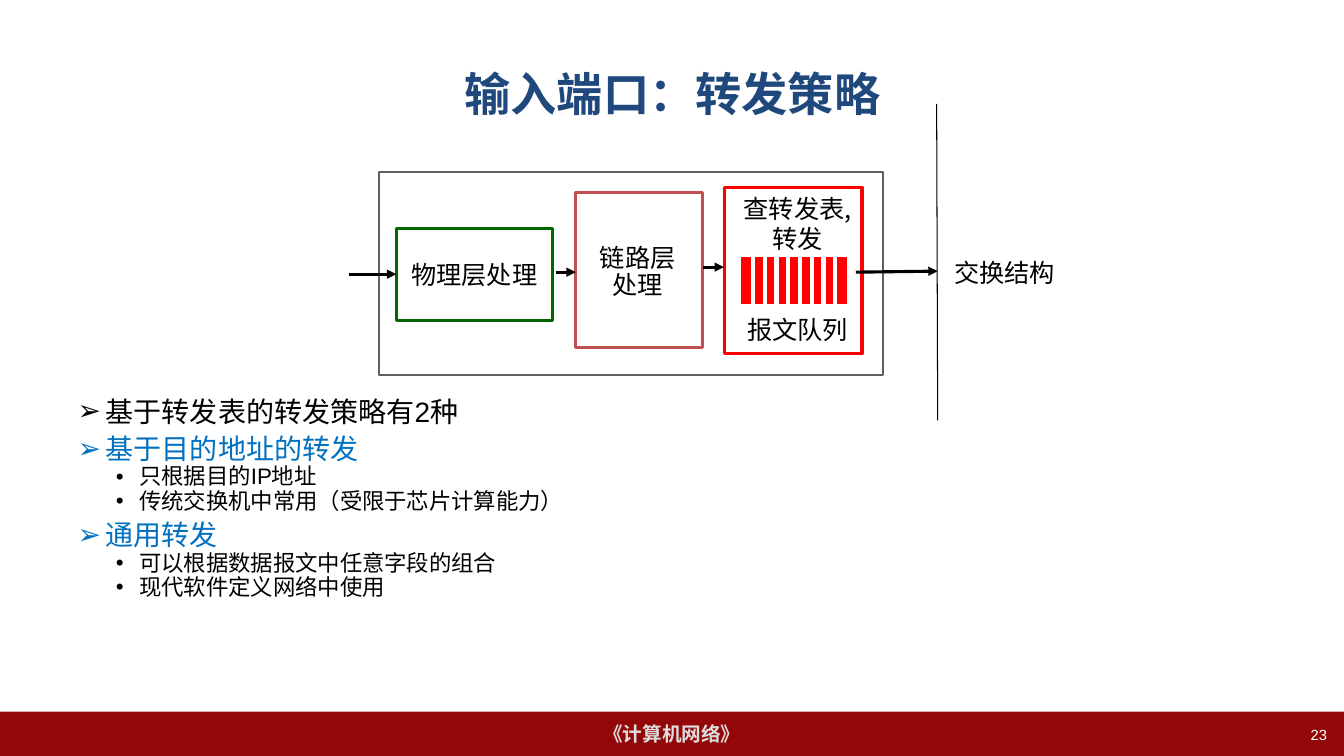
from lxml.etree import SubElement as Sub
from pptx import Presentation as Deck
from pptx.dml.color import RGBColor as RGB
from pptx.enum.shapes import MSO_CONNECTOR as Conn, MSO_SHAPE as Form
from pptx.enum.text import MSO_ANCHOR as Anchor, MSO_AUTO_SIZE as Auto, PP_ALIGN as Align
from pptx.oxml.ns import qn
from pptx.util import Inches, Pt

COLS, ROWS = 1333, 750
WIDE, HIGH = Inches(13.33), Inches(7.5)
LATIN, HAN = "Arial", "Noto Sans CJK SC"
WHITE, BLACK = RGB(255, 255, 255), RGB(0, 0, 0)
RED, ROSE, GREEN = RGB(255, 0, 0), RGB(0xC0, 0x50, 0x4D), RGB(0, 0x66, 0)
GREY, PALE = RGB(0x5F, 0x5F, 0x5F), RGB(0xDD, 0xDD, 0xDD)
MAROON, NAVY, BLUE = RGB(0x94, 7, 9), RGB(0x1F, 0x49, 0x7D), RGB(0, 0x70, 0xC0)

TITLE = "输入端口：转发策略"
LIST = [
    (0, "基于转发表的转发策略有2种", BLACK),
    (0, "基于目的地址的转发", BLUE),
    (1, "只根据目的IP地址", BLACK),
    (1, "传统交换机中常用（受限于芯片计算能力）", BLACK),
    (0, "通用转发", BLUE),
    (1, "可以根据数据报文中任意字段的组合", BLACK),
    (1, "现代软件定义网络中使用", BLACK),
]
LEVELS = [
    {"mark": "➢", "left": 0.28, "hang": 0.28, "size": 20, "gap": 5.5},
    {"mark": "•", "left": 0.61, "hang": 0.23, "size": 16, "gap": 0},
]
BAR = ((0, 706, 1333, 44), MAROON, None, 0, ["《计算机网络》"])
BOXES = [
    ((376, 171, 500, 201), WHITE, GREY, 1.5, []),
    ((393, 227, 155, 91), WHITE, GREEN, 2.25, ["物理层处理"]),
    ((571, 191, 126, 154), WHITE, ROSE, 2.25, []),
    ((719, 186, 136, 165), WHITE, RED, 2.25, []),
    ((575, 225, 115, 91), WHITE, None, 0, ["链路层", "处理"]),
    ((939, 227, 115, 91), WHITE, None, 0, ["交换结构"]),
]
NOTES = [
    ((727, 187, 128, 66), ["查转发表,", "转发"]),
    ((727, 307, 128, 40), ["报文队列"]),
]
ARROWS = [(346, 272, 393, 272), (551, 270, 571, 270),
          (697, 265, 718, 265), (849, 270, 930, 269)]
FABRIC = (929, 103, 930, 417)
QUEUE, SLOTS = (733, 253, 109, 51), 9


def put(item, **vals):
    for key, val in vals.items():
        setattr(item, key, val)


def at(cells):
    return [round(c * (HIGH / ROWS if n % 2 else WIDE / COLS)) for n, c in enumerate(cells)]


def place(shape, cells):
    put(shape, **dict(zip(("left", "top", "width", "height"), at(cells))))


def style(para, size, color, bold=False, face=LATIN):
    for run in para.runs:
        put(run.font, size=Pt(size), bold=bold, name=face)
        run.font.color.rgb = color
        Sub(run.font._element, qn("a:ea")).set("typeface", HAN)


def write(shape, lines, size=18, color=BLACK, bold=False, face=HAN,
          align=Align.CENTER, anchor=Anchor.MIDDLE, pitch=1.0):
    frame = shape.text_frame
    put(frame, text="\n".join(lines), word_wrap=False, vertical_anchor=anchor,
        auto_size=Auto.NONE)
    for para in frame.paragraphs:
        put(para, alignment=align, line_spacing=pitch)
        style(para, size, color, bold, face)


def box(home, cells, fill, edge, weight):
    shape = home.add_shape(Form.RECTANGLE, *at(cells))
    shape.shadow.inherit = False
    shape.fill.solid()
    shape.fill.fore_color.rgb = fill
    if edge is None:
        shape.line.fill.background()
    else:
        shape.line.color.rgb = edge
        shape.line.width = Pt(weight)
    return shape


def rule(home, ends, color, weight, arrow=False):
    line = home.add_connector(Conn.STRAIGHT, *at(ends))
    line.line.color.rgb = color
    line.line.width = Pt(weight)
    if arrow:
        Sub(line.line._get_or_add_ln(), qn("a:tailEnd")).set("type", "triangle")
    Sub(line._element.spPr, qn("a:effectLst"))


def bullets(frame):
    frame.text = "\n".join(text for _, text, _ in LIST)
    put(frame, word_wrap=True, auto_size=Auto.NONE, vertical_anchor=Anchor.TOP)
    for n, (para, (deep, _, color)) in enumerate(zip(frame.paragraphs, LIST)):
        form = LEVELS[deep]
        put(para, level=deep, line_spacing=0.9 if n else 1.0,
            space_before=Pt(form["gap"] if n else 0), space_after=Pt(0))
        props = para._p.get_or_add_pPr()
        props.set("marL", str(Inches(form["left"])))
        props.set("indent", str(-Inches(form["hang"])))
        Sub(props, qn("a:buFont")).set("typeface", LATIN)
        Sub(props, qn("a:buChar")).set("char", form["mark"])
        style(para, form["size"], color)


def main():
    deck = Deck()
    put(deck, slide_width=WIDE, slide_height=HIGH)
    slide = deck.slides.add_slide(deck.slide_layouts[1])
    shapes = slide.shapes
    head, body = slide.placeholders
    place(head, (67, 30, 1200, 125))
    write(head, [TITLE], 33, NAVY, True, LATIN)
    head.text_frame.word_wrap = True
    place(body, (67, 386, 1200, 284))
    bullets(body.text_frame)

    *look, words = BAR
    write(box(shapes, *look), words, 14, PALE, True, LATIN)
    page = shapes.add_textbox(*at((1015, 715, 311, 35)))
    write(page, ["23"], 10.5, WHITE, False, LATIN, Align.RIGHT, Anchor.TOP)

    for *look, words in BOXES:
        shape = box(shapes, *look)
        if words:
            write(shape, words, pitch=0.9 if look[2] is None else 1.0)
    for cells, words in NOTES:
        write(shapes.add_textbox(*at(cells)), words, anchor=Anchor.TOP)
    for ends in ARROWS:
        rule(shapes, ends, BLACK, 2.25, True)
    rule(shapes, FABRIC, BLACK, 0.75)

    queue = shapes.add_group_shape().shapes
    box(queue, QUEUE, RED, WHITE, 3)
    left, top, wide, high = QUEUE
    step = wide / (SLOTS + 0.33)
    for n in range(1, SLOTS):
        x = left + 2 + n * step
        rule(queue, (x, top + 1, x, top + high - 1), WHITE, 3)
    deck.save("out.pptx")


if __name__ == "__main__":
    main()
